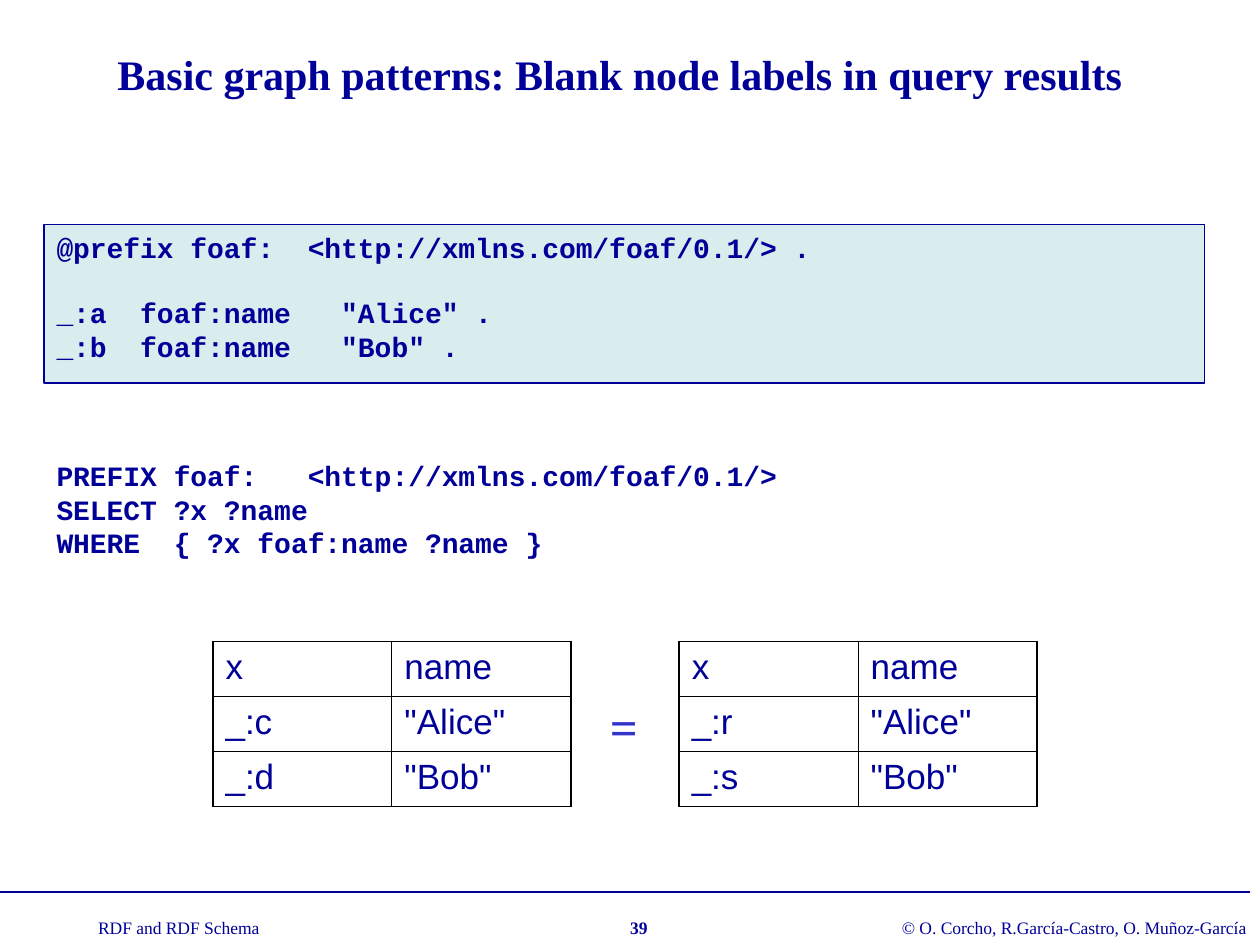
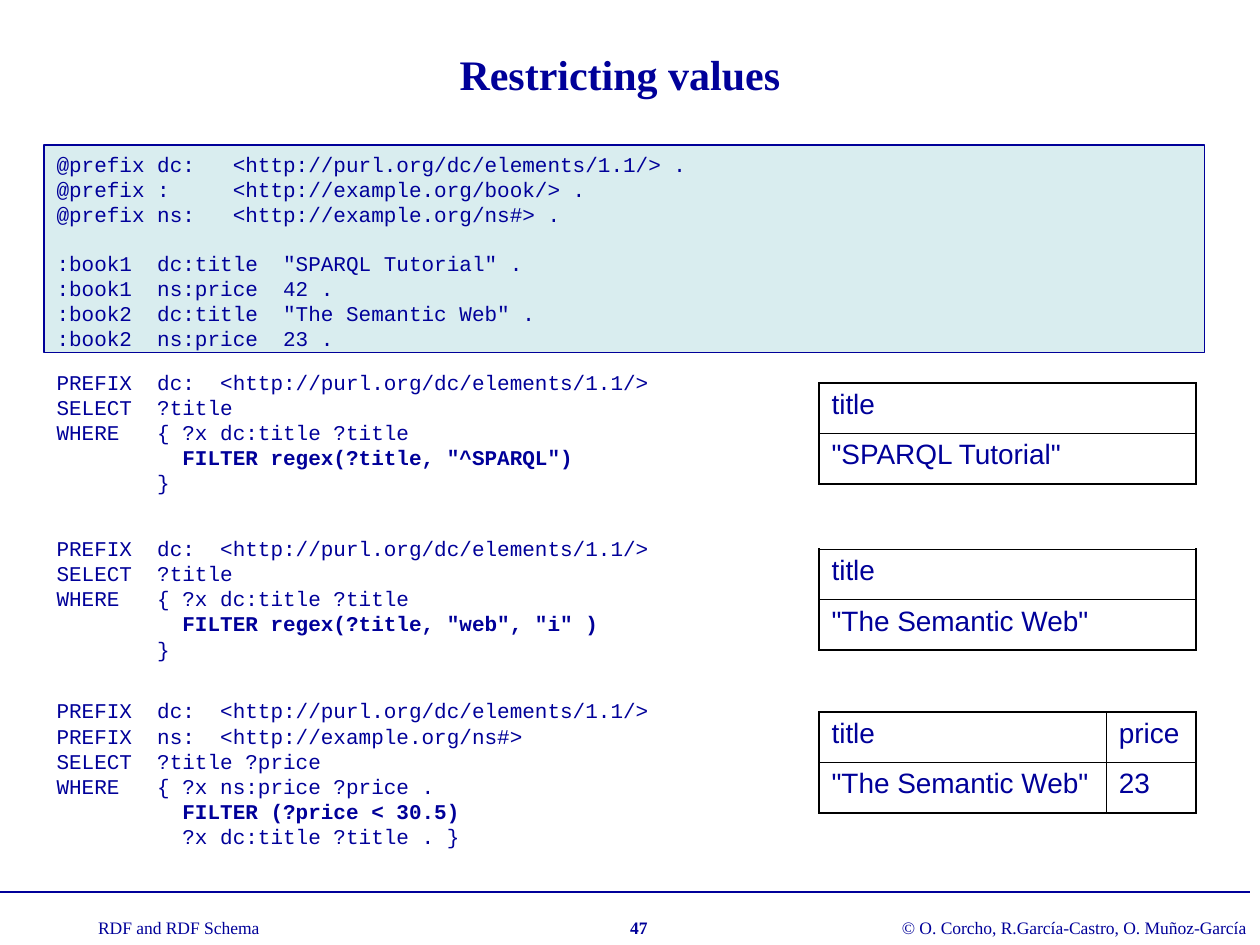
from lxml.etree import SubElement
from pptx import Presentation
from pptx.dml.color import RGBColor
from pptx.enum.shapes import MSO_CONNECTOR, MSO_SHAPE
from pptx.enum.text import MSO_ANCHOR, MSO_AUTO_SIZE, PP_ALIGN
from pptx.oxml.ns import qn
from pptx.util import Inches, Pt

NAVY = RGBColor(0x00, 0x00, 0x99)
BLUE = RGBColor(0x33, 0x33, 0xCC)
PALE = RGBColor(0xD9, 0xED, 0xEF)
BLACK = RGBColor(0x00, 0x00, 0x00)
SERIF, SANS, MONO = "Times New Roman", "Arial", "Courier New"
W, H = Inches(10), Inches(7.5)
UNIT = W // 100
LEFT, WIDE = 3.5, 92.1
MONO_LINE = 1.13
OUTER, INNER = Pt(1.08), Pt(0.45)


def write(sp, text, at=None, size=12, font=SERIF, color=NAVY, bold=False, bold_word=None,
          align=PP_ALIGN.LEFT, anchor=MSO_ANCHOR.TOP, wrap=True):
    if at:
        sp.left, sp.top, sp.width, sp.height = [int(v * UNIT) for v in at]
    tf = sp.text_frame
    tf.word_wrap = wrap
    tf.auto_size = MSO_AUTO_SIZE.NONE
    tf.vertical_anchor = anchor
    p = tf.paragraphs[0]
    for i, block in enumerate(text.split("\n\n")):
        for j, line in enumerate(block.split("\n")):
            if i or j:
                p = tf.add_paragraph()
            if i and not j:
                p.space_before = Pt(size * MONO_LINE)
            p.alignment = align
            r = p.add_run()
            r.text = line
            r.font.name, r.font.size, r.font.color.rgb = font, Pt(size), color
            r.font.bold = bold or bool(bold_word and bold_word in line)


def add_grid(s, left, top, cols, row_height, rows, size):
    box = [int(v * UNIT) for v in (left, top, sum(cols), row_height * len(rows))]
    table = s.shapes.add_table(len(rows), len(cols), *box).table
    table.first_row = table.horz_banding = False
    for col, width in zip(table.columns, cols):
        col.width = int(width * UNIT)
    for i, row in enumerate(rows):
        table.rows[i].height = int(row_height * UNIT)
        for j, value in enumerate(row):
            cell = table.cell(i, j)
            p = cell.text_frame.paragraphs[0]
            r = p.add_run()
            r.text = value
            r.font.name, r.font.size, r.font.color.rgb = SANS, Pt(size), NAVY
            edges = {"L": j == 0, "R": j == len(cols) - 1, "T": i == 0, "B": i == len(rows) - 1}
            tcPr = cell._tc.get_or_add_tcPr()
            for side, outer in edges.items():
                ln = SubElement(tcPr, qn(f"a:ln{side}"), w=str(OUTER if outer else INNER))
                fill = SubElement(ln, qn("a:solidFill"))
                SubElement(fill, qn("a:srgbClr"), val=str(BLACK))
            cell.fill.background()


prs = Presentation()
prs.slide_width, prs.slide_height = W, H

BLANK_DATA = '''@prefix foaf:  <http://xmlns.com/foaf/0.1/> .

_:a  foaf:name   "Alice" .
_:b  foaf:name   "Bob" .'''
BLANK_QUERY = '''PREFIX foaf:   <http://xmlns.com/foaf/0.1/>
SELECT ?x ?name
WHERE  { ?x foaf:name ?name }'''
BOOK_DATA = '''@prefix dc:   <http://purl.org/dc/elements/1.1/> .
@prefix :     <http://example.org/book/> .
@prefix ns:   <http://example.org/ns#> .

:book1  dc:title  "SPARQL Tutorial" .
:book1  ns:price  42 .
:book2  dc:title  "The Semantic Web" .
:book2  ns:price  23 .'''
REGEX_QUERY = '''PREFIX  dc:  <http://purl.org/dc/elements/1.1/>
SELECT  ?title
WHERE   {{ ?x dc:title ?title
          FILTER regex({})
        }}'''
PRICE_QUERY = '''PREFIX  dc:  <http://purl.org/dc/elements/1.1/>
PREFIX  ns:  <http://example.org/ns#>
SELECT  ?title ?price
WHERE   { ?x ns:price ?price .
          FILTER (?price < 30.5)
          ?x dc:title ?title . }'''

pages = [
    ("Basic graph patterns: Blank node labels in query results", "39", BLANK_DATA, 17.8, 12.6, 16, True),
    ("Restricting values", "47", BOOK_DATA, 11.5, 16.5, 12, False),
]
slides = []
for title, number, data, top, height, size, bold in pages:
    s = prs.slides.add_slide(prs.slide_layouts[5])
    slides.append(s)
    write(s.shapes.title, title, (6.7, 1.7, 85, 8.3), size=24, bold=True,
          align=PP_ALIGN.CENTER, anchor=MSO_ANCHOR.MIDDLE)
    line = s.shapes.add_connector(MSO_CONNECTOR.STRAIGHT, 0, int(70.8 * UNIT), int(99.2 * UNIT), int(70.8 * UNIT))
    line.line.color.rgb, line.line.width = NAVY, Pt(1)
    SubElement(line._element.spPr, qn("a:effectLst"))
    for text, left, width, strong, align in [
        ("RDF and RDF Schema", 6.8, 14.8, False, PP_ALIGN.LEFT),
        (number, 46.6, 8.2, True, PP_ALIGN.CENTER),
        ("© O. Corcho, R.García-Castro, O. Muñoz-García", 70.6, 29.4, False, PP_ALIGN.LEFT),
    ]:
        write(s.shapes.add_textbox(0, 0, 0, 0), text, (left, 72.3, width, 2.7), size=10,
              bold=strong, align=align, wrap=False)
    sp = s.shapes.add_shape(MSO_SHAPE.RECTANGLE, 0, 0, 0, 0)
    sp.shadow.inherit = False
    sp.fill.solid()
    sp.fill.fore_color.rgb = PALE
    sp.line.color.rgb, sp.line.width = NAVY, Pt(0.75)
    write(sp, data, (LEFT, top, WIDE, height), size=size, font=MONO, bold=bold)

s = slides[0]
write(s.shapes.add_textbox(0, 0, 0, 0), BLANK_QUERY, (LEFT, 35.9, WIDE, 9), size=16, font=MONO, bold=True)
for left, first, second in [(16.9, "_:c", "_:d"), (53.9, "_:r", "_:s")]:
    add_grid(s, left, 50.9, (14.2, 14.2), 4.37,
             [("x", "name"), (first, '"Alice"'), (second, '"Bob"')], 20)
write(s.shapes.add_textbox(0, 0, 0, 0), "=", (47.4, 54.8, 4.2, 5.7), size=28, color=BLUE,
      bold=True, align=PP_ALIGN.CENTER, wrap=False)

s = slides[1]
for top, height, query, cols, rows in [
    (28.8, 11, REGEX_QUERY.format('?title, "^SPARQL"'), (29.9,), [("title",), ('"SPARQL Tutorial"',)]),
    (42, 11, REGEX_QUERY.format('?title, "web", "i" '), (29.9,), [("title",), ('"The Semantic Web"',)]),
    (54.9, 13, PRICE_QUERY, (22.8, 7.1), [("title", "price"), ('"The Semantic Web"', "23")]),
]:
    write(s.shapes.add_textbox(0, 0, 0, 0), query, (LEFT, top, WIDE, height), font=MONO, bold_word="FILTER")
    add_grid(s, 65, top + 1.6, cols, 4, rows, 16)

prs.save("out.pptx")
